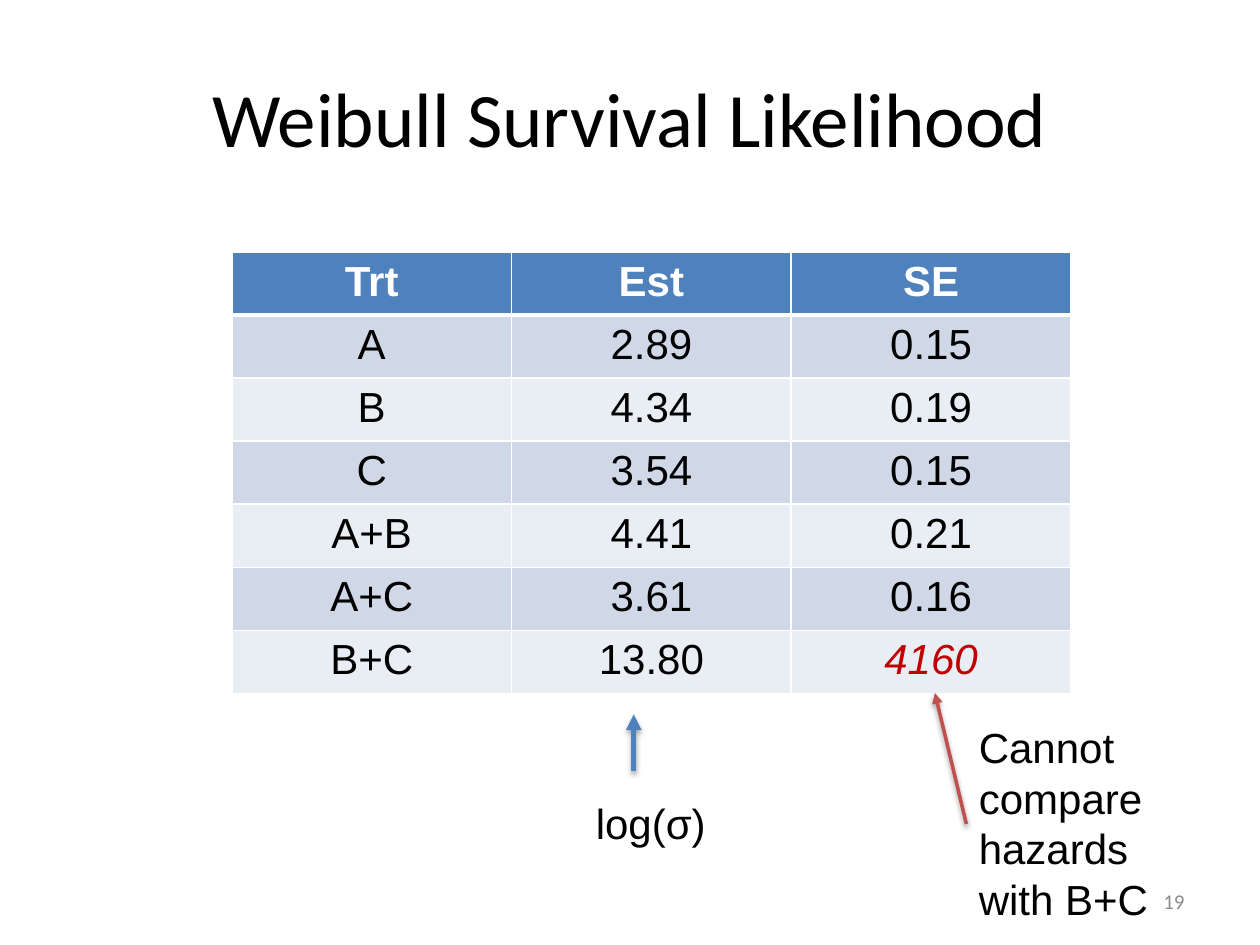
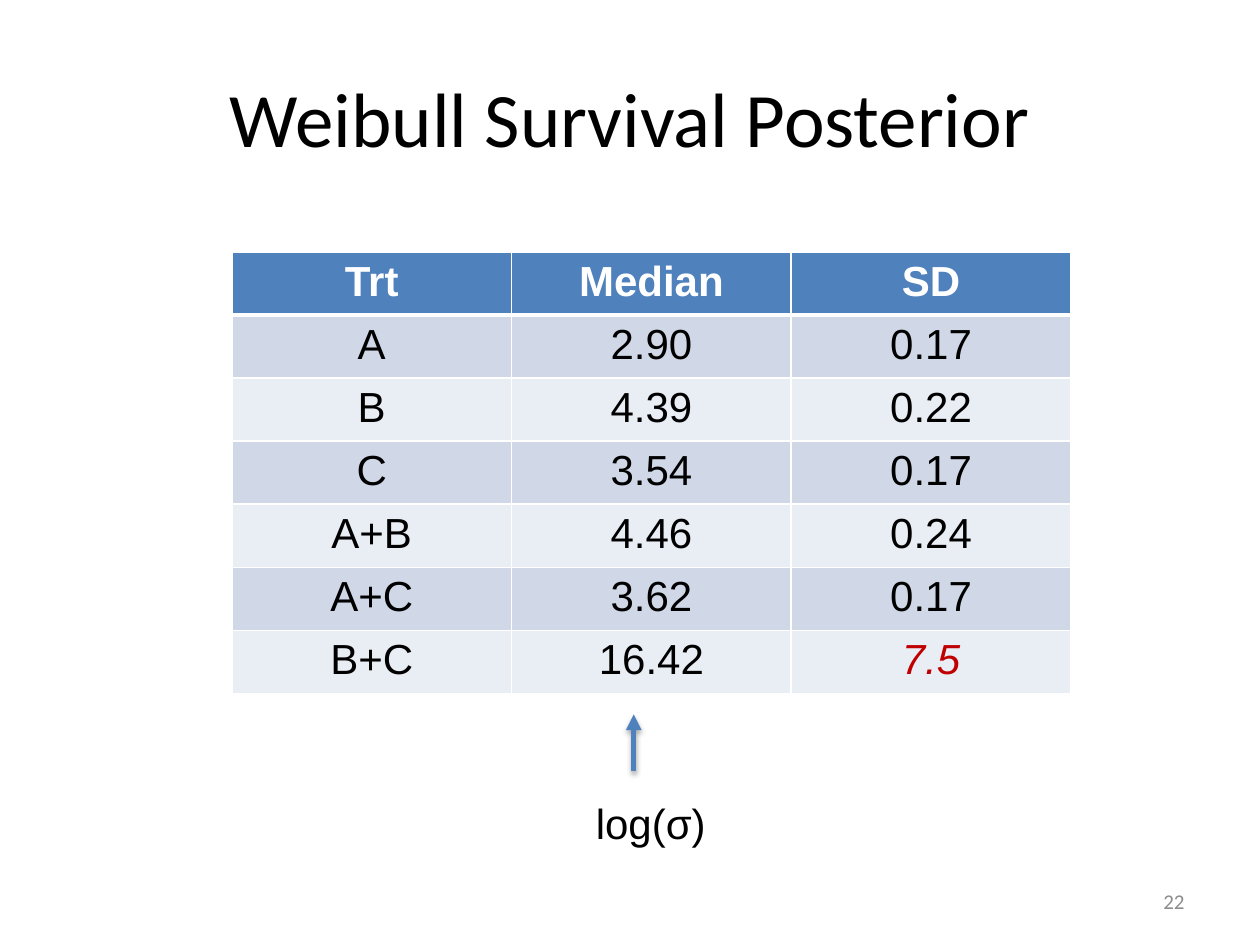
from dataclasses import dataclass

from lxml import etree
from pptx import Presentation
from pptx.dml.color import RGBColor
from pptx.enum.shapes import MSO_CONNECTOR
from pptx.enum.text import MSO_ANCHOR, PP_ALIGN
from pptx.oxml.ns import qn
from pptx.util import Inches, Pt

STRAIGHT = MSO_CONNECTOR.STRAIGHT
TOP, MIDDLE = MSO_ANCHOR.TOP, MSO_ANCHOR.MIDDLE
LEFT, CENTER, RIGHT = PP_ALIGN.LEFT, PP_ALIGN.CENTER, PP_ALIGN.RIGHT
LEFT_SIDE = 1

BLACK = RGBColor(0x00, 0x00, 0x00)
WHITE = RGBColor(0xFF, 0xFF, 0xFF)
GRAY = RGBColor(0x8C, 0x8C, 0x8C)
BLUE = RGBColor(0x4F, 0x81, 0xBD)
RED = RGBColor(0xC0, 0x50, 0x4D)
WARNING_RED = RGBColor(0xC0, 0x00, 0x00)
ROW_BANDS = (RGBColor(0xE9, 0xED, 0xF4), RGBColor(0xD0, 0xD8, 0xE8))

TITLE_FONT, BODY_FONT = "Calibri", "Arial"
BODY_SIZE = 24
NOTE_LINE_SPACING = Pt(28.8)
TREATMENTS = ("A", "B", "C", "A+B", "A+C", "B+C")


@dataclass(frozen=True)
class ResultSlide:
    title: str
    number: int
    headers: tuple[str, str, str]
    estimates: tuple[str, ...]
    spreads: tuple[str, ...]
    warning: str = ""


RESULTS = (
    ResultSlide(
        "Weibull Survival Likelihood", 19, ("Trt", "Est", "SE"),
        ("2.89", "4.34", "3.54", "4.41", "3.61", "13.80"),
        ("0.15", "0.19", "0.15", "0.21", "0.16", "4160"),
        "Cannot compare hazards with B+C",
    ),
    ResultSlide(
        "Weibull Survival Posterior", 22, ("Trt", "Median", "SD"),
        ("2.90", "4.39", "3.54", "4.46", "3.62", "16.42"),
        ("0.17", "0.22", "0.17", "0.24", "0.17", "7.5"),
    ),
)


def write_text(text_frame, text: str, *, size=BODY_SIZE, font=BODY_FONT, color=BLACK,
               bold=False, italic=False, align=LEFT, line_spacing=None) -> None:
    paragraph = text_frame.paragraphs[0]
    paragraph.alignment = align
    paragraph.line_spacing = line_spacing
    run = paragraph.add_run()
    run.text = text
    run.font.size = Pt(size)
    run.font.name = font
    run.font.color.rgb = color
    run.font.bold = bold
    run.font.italic = italic


def add_text(slide, text: str, left: float, top: float, width: float, height: float,
             *, anchor=TOP, wrap=True, **text_format):
    shape = slide.shapes.add_textbox(Inches(left), Inches(top), Inches(width), Inches(height))
    shape.text_frame.word_wrap = wrap
    shape.text_frame.vertical_anchor = anchor
    write_text(shape.text_frame, text, **text_format)
    return shape


def add_arrow(slide, start: tuple[float, float], end: tuple[float, float],
              color: RGBColor, width: float, shadow_opacity: int):
    """Draw an arrow with a soft shadow below it; opacity is in percent."""
    points = [Inches(length) for length in (*start, *end)]
    arrow = slide.shapes.add_connector(STRAIGHT, *points)
    arrow.line.color.rgb = color
    arrow.line.width = Pt(width)
    properties = arrow.element.spPr
    etree.SubElement(properties.find(qn("a:ln")), qn("a:tailEnd"), type="triangle")
    effects = etree.SubElement(properties, qn("a:effectLst"))
    shadow = etree.SubElement(effects, qn("a:outerShdw"), blurRad=str(Pt(3.1)),
                              dist=str(Pt(1.8)), dir="5400000", rotWithShape="0")
    shadow_color = etree.SubElement(shadow, qn("a:srgbClr"), val=str(BLACK))
    etree.SubElement(shadow_color, qn("a:alpha"), val=str(shadow_opacity * 1000))
    return arrow


def set_borders(cell, top: float, bottom: float) -> None:
    """Give a cell white borders, 1 point wide at the sides."""
    properties = cell._tc.get_or_add_tcPr()
    widths = {"a:lnL": 1, "a:lnR": 1, "a:lnT": top, "a:lnB": bottom}
    for position, (tag, width) in enumerate(widths.items()):
        border = etree.Element(qn(tag), w=str(Pt(width)))
        fill = etree.SubElement(border, qn("a:solidFill"))
        etree.SubElement(fill, qn("a:srgbClr"), val=str(WHITE))
        properties.insert(position, border)


def add_result_table(slide, result: ResultSlide) -> None:
    rows = [result.headers, *zip(TREATMENTS, result.estimates, result.spreads)]
    last_row, last_column = len(rows) - 1, len(result.headers) - 1
    table = slide.shapes.add_table(
        len(rows), len(result.headers), Inches(1.84), Inches(2),
        Inches(6.66), Inches(0.47 * len(rows))).table
    for row, values in enumerate(rows):
        is_header = row == 0
        for column, value in enumerate(values):
            cell = table.cell(row, column)
            cell.fill.solid()
            cell.fill.fore_color.rgb = BLUE if is_header else ROW_BANDS[row % 2]
            set_borders(cell, top=3 if row == 1 else 1, bottom=3 if is_header else 1)
            is_warning = (row, column) == (last_row, last_column)
            color = WHITE if is_header else WARNING_RED if is_warning else BLACK
            write_text(cell.text_frame, value, color=color, bold=is_header,
                       italic=is_warning, align=CENTER)


def add_result_slide(presentation, result: ResultSlide) -> None:
    slide = presentation.slides.add_slide(presentation.slide_layouts[6])
    add_text(slide, result.title, 0.5, 0.3, 9, 1.25, anchor=MIDDLE,
             size=44, font=TITLE_FONT, align=CENTER)
    add_text(slide, str(result.number), 7.17, 6.95, 2.33, 0.4, anchor=MIDDLE,
             size=12, font=TITLE_FONT, color=GRAY, align=RIGHT)
    add_result_table(slide, result)
    add_text(slide, "log(σ)", 4.63, 6.28, 1.08, 0.5, wrap=False,
             line_spacing=NOTE_LINE_SPACING)
    add_arrow(slide, (5.03, 6.12), (5.03, 5.67), BLUE, 3, shadow_opacity=35)
    if result.warning:
        note = add_text(slide, result.warning, 7.67, 5.68, 1.73, 1.72,
                        line_spacing=NOTE_LINE_SPACING)
        arrow = add_arrow(slide, (7.67, 6.54), (7.42, 5.5), RED, 2, shadow_opacity=38)
        arrow.begin_connect(note, LEFT_SIDE)


def main() -> None:
    presentation = Presentation()
    presentation.slide_width = Inches(10)
    presentation.slide_height = Inches(7.5)
    for result in RESULTS:
        add_result_slide(presentation, result)
    presentation.save("out.pptx")


if __name__ == "__main__":
    main()
